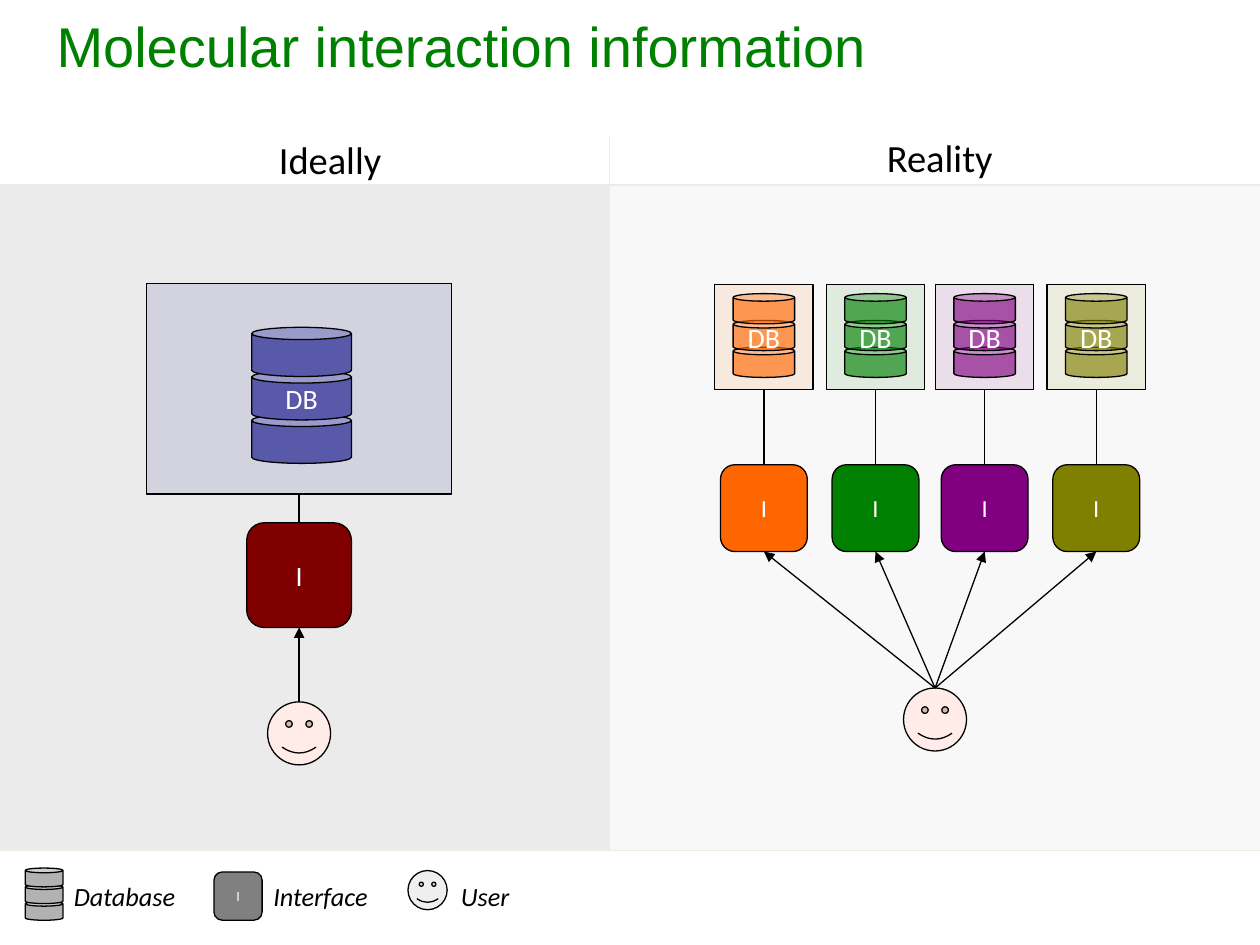
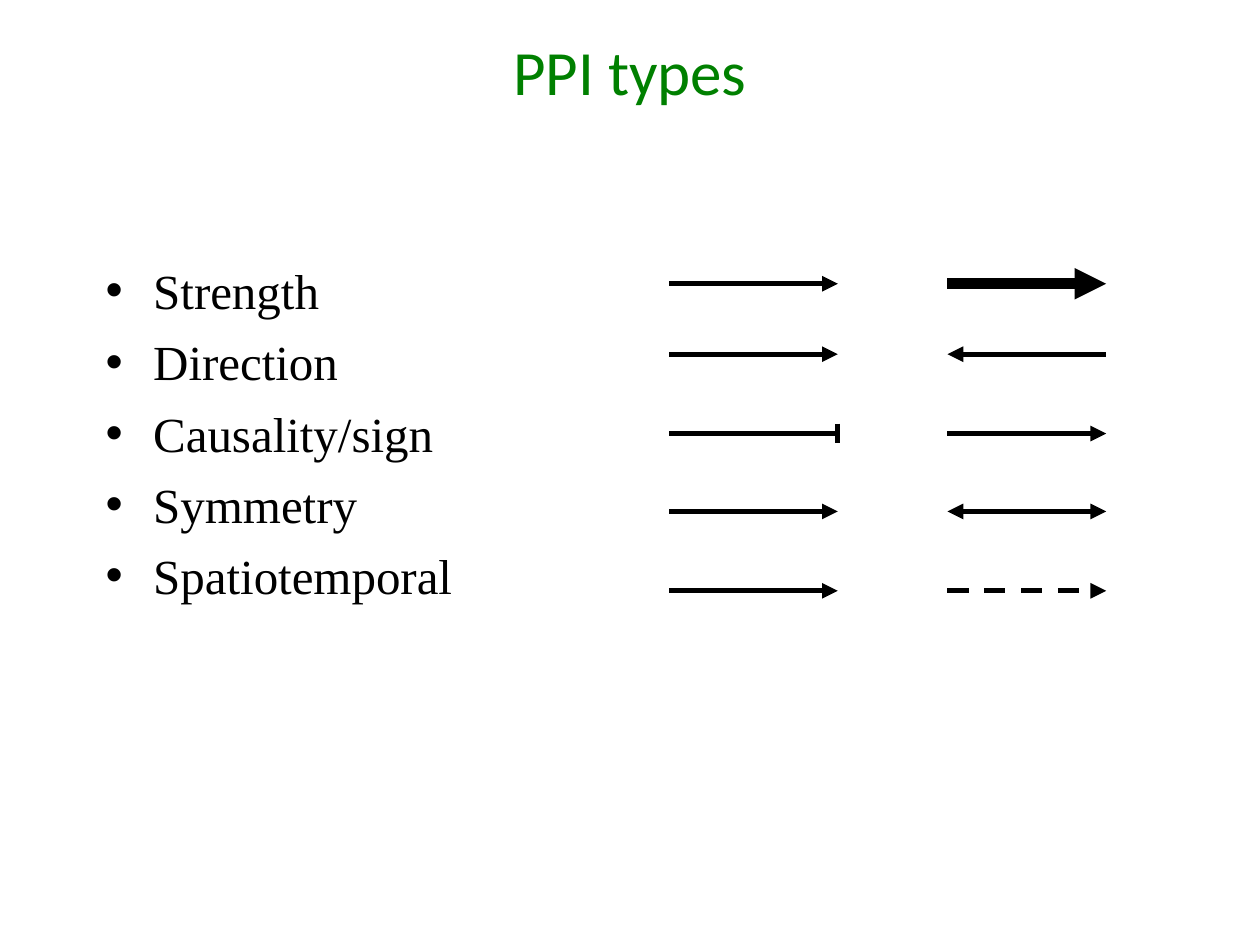
from dataclasses import dataclass

from lxml.etree import SubElement
from pptx import Presentation
from pptx.dml.color import RGBColor
from pptx.enum.dml import MSO_LINE_DASH_STYLE as Dash
from pptx.enum.shapes import MSO_CONNECTOR_TYPE as Link, MSO_SHAPE as Preset
from pptx.enum.text import MSO_ANCHOR as Anchor, PP_ALIGN as Align
from pptx.oxml.ns import qn
from pptx.util import Cm, Pt


@dataclass(frozen=True)
class Theme:
    # Colours
    black: str = "000000"
    white: str = "FFFFFF"
    title: str = "008000"
    rule: str = "EEECE1"
    panel: str = "C0C0C0"
    skin: str = "FFEBE8"
    ideal_box: str = "000080"
    ideal_database: str = "5859A8"
    ideal_interface: str = "800000"
    sources: tuple = ("FF6600", "008000", "800080", "808000")
    legend_database: str = "B2B2B2"
    legend_interface: str = "808080"
    # Fonts and sizes
    body_font: str = "Calibri"
    title_font: str = "Arial"
    list_font: str = "Times New Roman"
    title_size: int = 32
    types_title_size: int = 36
    list_size: int = 28
    heading_size: int = 22
    label_size: int = 16
    small_label_size: int = 14
    legend_size: int = 15
    legend_icon_size: int = 8
    # Line weights
    thin: float = 0.75
    bold: float = 3
    heavy: float = 6


THEME = Theme()
WIDTH, HEIGHT = 25.4, 19.05
DIVIDER_X, HEADER_Y, FOOTER_Y = 12.29, 3.73, 17.15
STACK_STEP = 0.885  # share of a disk's height between disks
USER_SIZE = 1.27


# Shared helpers
def apply_format(target, formats):
    for attribute, value in formats.items():
        setattr(target, attribute, value)


def write(paragraph, text, size, color=THEME.black, font=THEME.body_font, italic=False):
    paragraph.text = text
    apply_format(paragraph.font, {"name": font, "size": Pt(size), "italic": italic})
    paragraph.font.color.rgb = RGBColor.from_string(color)


def add_text(shapes, text, box, size, align=Align.LEFT, anchor=Anchor.TOP, **style):
    frame = shapes.add_textbox(*map(Cm, box)).text_frame
    apply_format(frame, {"word_wrap": True, "vertical_anchor": anchor})
    frame.paragraphs[0].alignment = align
    write(frame.paragraphs[0], text, size, **style)


def add_block(shapes, preset, box, color, opacity=100, outlined=True, label="", size=THEME.label_size):
    block = shapes.add_shape(preset, *map(Cm, box))
    block.shadow.inherit = False
    block.fill.solid()
    block.fill.fore_color.rgb = RGBColor.from_string(color)
    if opacity < 100:
        tint = block.fill._xPr.find(qn("a:solidFill"))[0]
        SubElement(tint, qn("a:alpha"), val=str(opacity * 1000))
    if outlined:
        block.line.color.rgb = RGBColor.from_string(THEME.black)
        block.line.width = Pt(THEME.thin)
    else:
        block.line.fill.background()
    if label:
        apply_format(block.text_frame, {"word_wrap": False, "vertical_anchor": Anchor.MIDDLE})
        block.text_frame.paragraphs[0].alignment = Align.CENTER
        write(block.text_frame.paragraphs[0], label, size, THEME.white)


def add_line(shapes, start, end, color=THEME.black, width=THEME.thin, heads=(), dash=None):
    """Draw a line; heads lists the ends with an arrow: headEnd (start), tailEnd (end)."""
    link = shapes.add_connector(Link.STRAIGHT, *map(Cm, (*start, *end)))
    link.line.color.rgb = RGBColor.from_string(color)
    apply_format(link.line, {"width": Pt(width), "dash_style": dash})
    properties = link._element.spPr
    for head in heads:
        SubElement(properties.find(qn("a:ln")), qn(f"a:{head}"), type="triangle")
    SubElement(properties, qn("a:effectLst"))


# Diagram parts
def add_database(shapes, center, top, width, disk, color, opacity=100, label=""):
    stack = shapes.add_group_shape().shapes
    for level in (2, 1, 0):
        box = (center - width / 2, top + level * disk * STACK_STEP, width, disk)
        add_block(stack, Preset.CAN, box, color, opacity, label=label if level == 1 else "")


def add_interface(shapes, center, top, side, color, size):
    box = (center - side / 2, top, side, side)
    add_block(shapes, Preset.ROUNDED_RECTANGLE, box, color, label="I", size=size)


def add_user(shapes, center, top, side=USER_SIZE, color=THEME.skin, opacity=100):
    box = (center - side / 2, top, side, side)
    add_block(shapes, Preset.SMILEY_FACE, box, color, opacity)


# Slide sections
def add_panels(shapes):
    depth = FOOTER_Y - HEADER_Y
    for left, width, opacity in ((0, DIVIDER_X, 30), (DIVIDER_X, WIDTH - DIVIDER_X, 10)):
        add_block(shapes, Preset.RECTANGLE, (left, HEADER_Y, width, depth),
                  THEME.panel, opacity, outlined=False)
    add_line(shapes, (DIVIDER_X, 2.74), (DIVIDER_X, FOOTER_Y), THEME.rule)
    for y in (HEADER_Y, FOOTER_Y):
        add_line(shapes, (0, y), (WIDTH, y), THEME.rule)
    for heading, left, top in (("Ideally", 2.11, 2.62), ("Reality", 14.4, 2.57)):
        add_text(shapes, heading, (left, top, 9.09, 1.24), THEME.heading_size, Align.CENTER)


def add_ideal(shapes):
    center, box_top, box_height, interface_top, side, user_top = 6.03, 5.72, 4.24, 10.54, 2.11, 14.15
    add_block(shapes, Preset.RECTANGLE, (2.95, box_top, 6.15, box_height), THEME.ideal_box, 10)
    add_database(shapes, 6.08, 6.6, 2.01, 0.99, THEME.ideal_database, label="DB")
    add_interface(shapes, center, interface_top, side, THEME.ideal_interface, THEME.label_size)
    add_line(shapes, (center, box_top + box_height), (center, interface_top))
    add_user(shapes, center, user_top)
    add_line(shapes, (center, user_top), (center, interface_top + side), heads=["tailEnd"])


def add_reality(shapes):
    box_top, box_width, box_height, interface_top, side = 5.74, 1.98, 2.11, 9.37, 1.75
    user_center, user_top = 18.85, 13.87
    add_user(shapes, user_center, user_top)
    for center, color in zip((15.4, 17.65, 19.85, 22.1), THEME.sources):
        box = (center - box_width / 2, box_top, box_width, box_height)
        add_block(shapes, Preset.RECTANGLE, box, color, 10)
        add_database(shapes, center, 5.92, 1.24, 0.61, color, 63, "DB")
        add_interface(shapes, center, interface_top, side, color, THEME.small_label_size)
        add_line(shapes, (center, box_top + box_height), (center, interface_top))
        add_line(shapes, (user_center, user_top), (center, interface_top + side), heads=["tailEnd"])


def add_legend(shapes):
    add_database(shapes, 0.89, 17.5, 0.76, 0.38, THEME.legend_database)
    add_interface(shapes, 4.8, 17.58, 0.97, THEME.legend_interface, THEME.legend_icon_size)
    add_user(shapes, 8.62, 17.55, 0.79, THEME.panel, 24)
    for name, left in (("Database", 1.24), ("Interface", 5.26), ("User", 9.04)):
        add_text(shapes, name, (left, 17.63, 2.79, 0.91), THEME.legend_size, italic=True)


def add_type_list(shapes, types):
    frame = shapes.add_textbox(Cm(1.88), Cm(5.13), Cm(22.86), Cm(12.57)).text_frame
    frame.word_wrap = True
    for index, name in enumerate(types):
        paragraph = frame.add_paragraph() if index else frame.paragraphs[0]
        properties = paragraph._p.get_or_add_pPr()
        apply_indent = {"marL": str(Cm(0.96)), "indent": str(-Cm(0.96))}
        for key, value in apply_indent.items():
            properties.set(key, value)
        SubElement(properties, qn("a:buFont"), typeface="Arial")
        SubElement(properties, qn("a:buChar"), char="•")
        write(paragraph, name, THEME.list_size, font=THEME.list_font)
        if index:
            paragraph.space_before = Pt(7.1)


def add_type_arrows(shapes):
    forward, backward = ["tailEnd"], ["headEnd"]
    plain_span, variant_span = (13.49, 16.89), (19.1, 22.3)
    # Row height, heads of the left arrow, format of the right arrow
    rows = (
        (5.72, forward, {"heads": forward, "width": THEME.heavy}),
        (7.14, forward, {"heads": backward}),
        (8.74, [], {"heads": forward}),
        (10.31, forward, {"heads": backward + forward}),
        (11.91, forward, {"heads": forward, "dash": Dash.DASH}),
    )
    for y, plain_heads, variant in rows:
        for (start, end), formats in ((plain_span, {"heads": plain_heads}), (variant_span, variant)):
            add_line(shapes, (start, y), (end, y), **{"width": THEME.bold, **formats})
        if not plain_heads:  # inhibition bar
            bar_x = plain_span[1]
            add_line(shapes, (bar_x, y - 0.2), (bar_x, y + 0.2), width=THEME.bold)


def main():
    deck = Presentation()
    apply_format(deck, {"slide_width": Cm(WIDTH), "slide_height": Cm(HEIGHT)})
    blank = deck.slide_layouts[6]

    # Ideal and real access to interaction data
    shapes = deck.slides.add_slide(blank).shapes
    add_panels(shapes)
    add_reality(shapes)
    add_ideal(shapes)
    add_legend(shapes)
    add_text(shapes, "Molecular interaction information", (0.89, 0.1, 22.86, 1.63), THEME.title_size,
             anchor=Anchor.MIDDLE, color=THEME.title, font=THEME.title_font)

    # Types of protein interaction
    shapes = deck.slides.add_slide(blank).shapes
    add_type_list(shapes, ("Strength", "Direction", "Causality/sign", "Symmetry", "Spatiotemporal"))
    add_type_arrows(shapes)
    add_text(shapes, "PPI types", (1.27, 0.53, 22.86, 1.75), THEME.types_title_size,
             Align.CENTER, color=THEME.title)

    deck.save("out.pptx")


if __name__ == "__main__":
    main()
